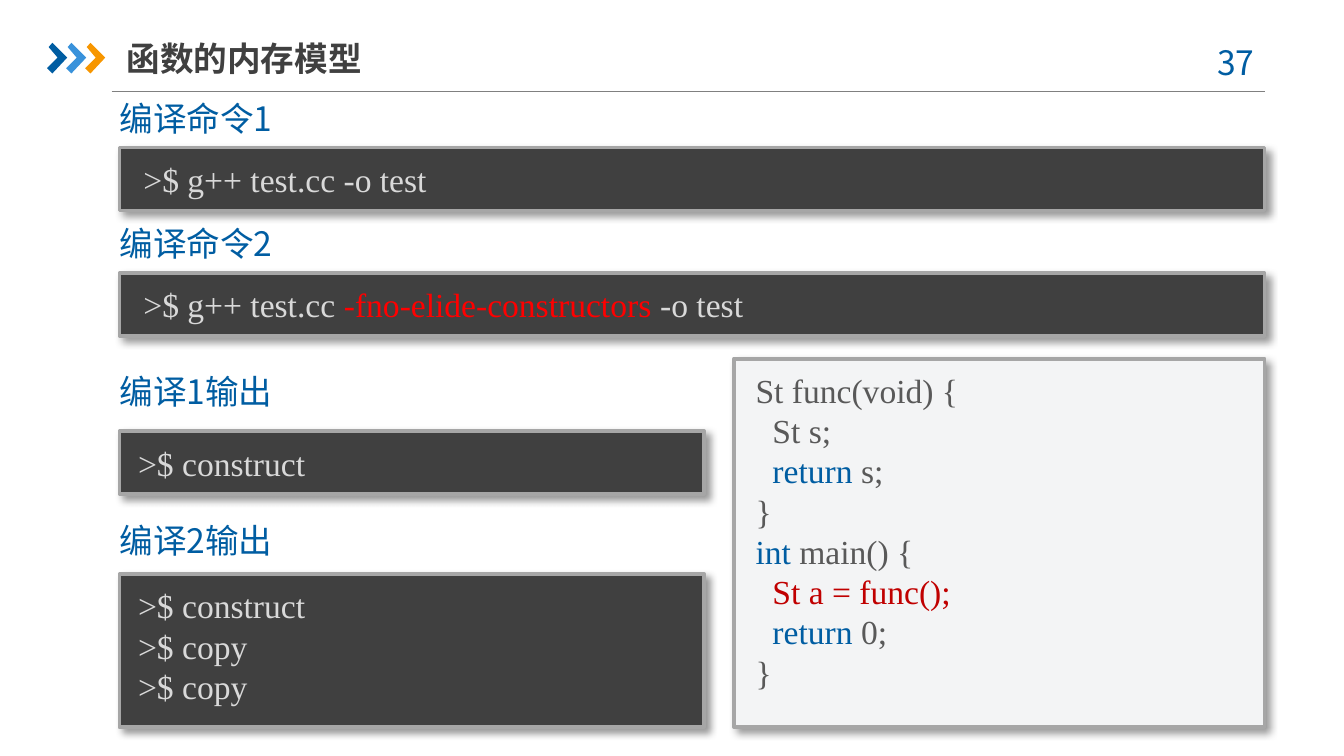
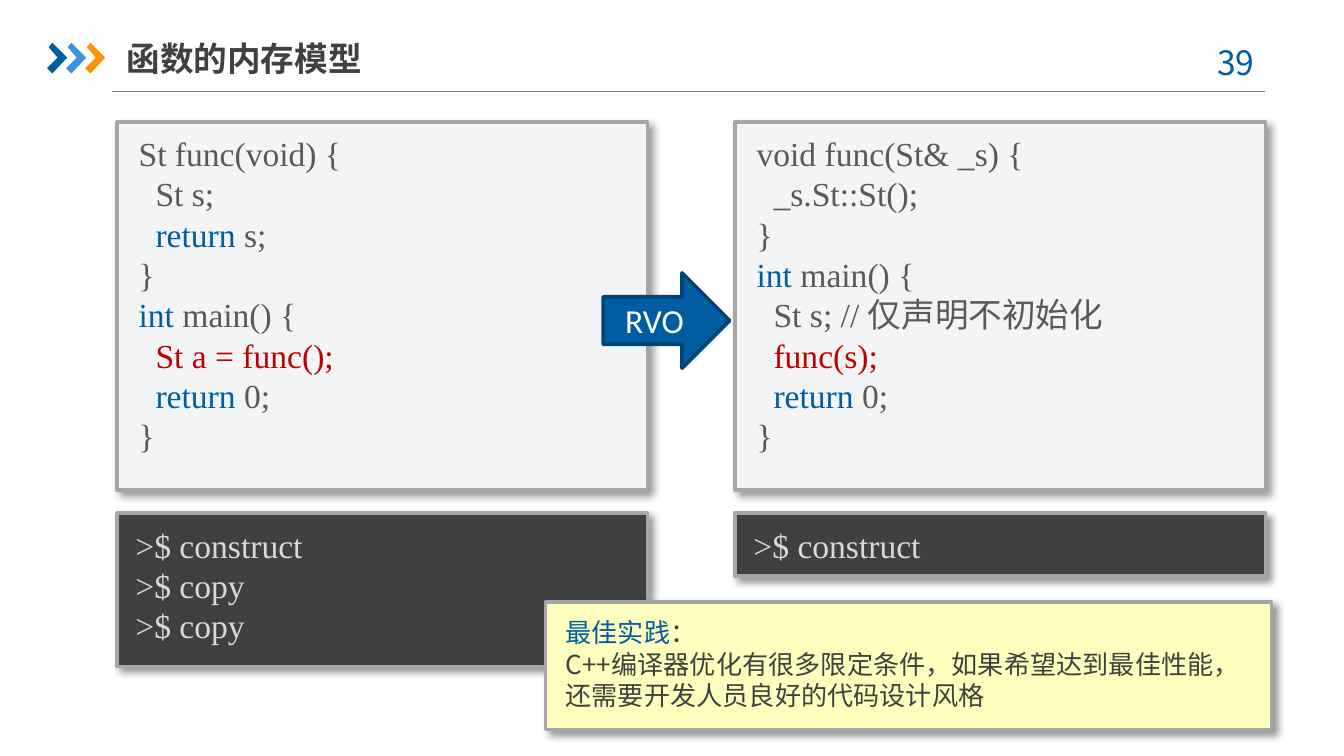
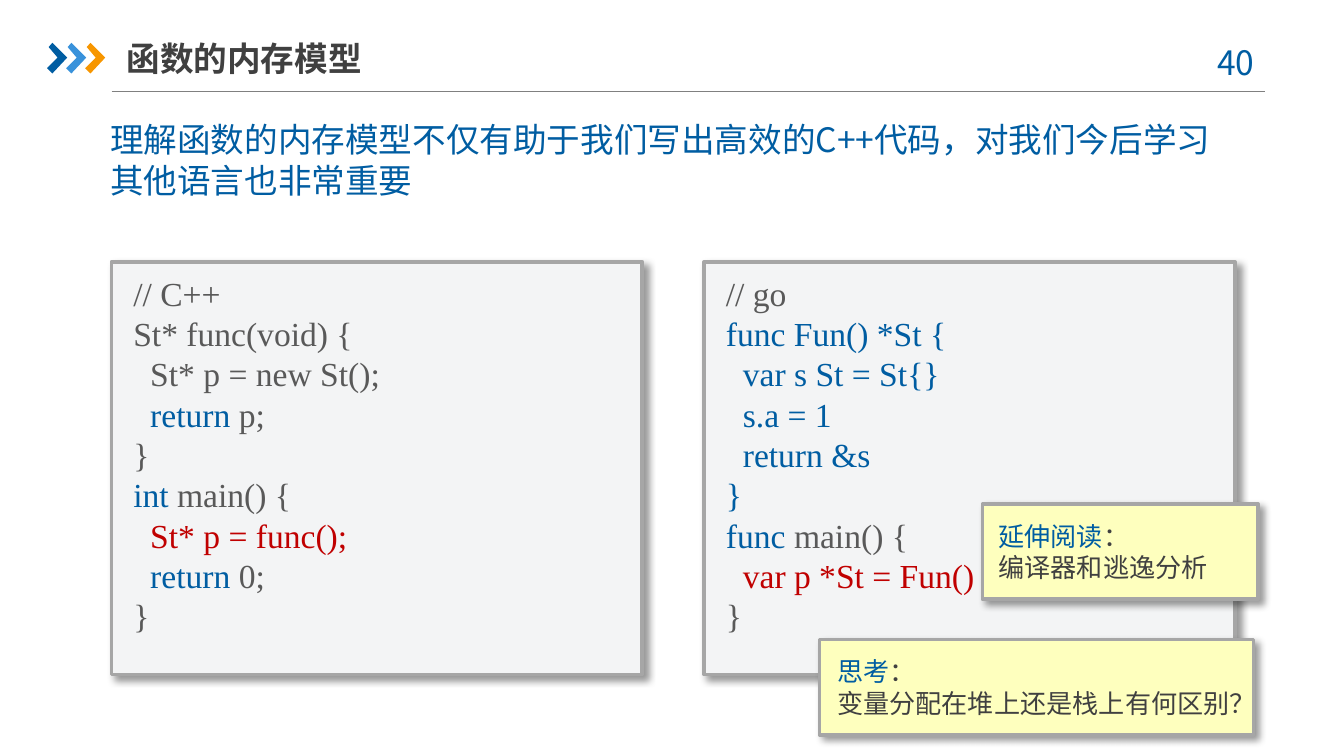
import pptx
import pptx.dml.color
import pptx.enum.shapes
import pptx.enum.text
import pptx.oxml
import pptx.oxml.ns
import pptx.util
from pptx.util import Cm

COLORS = {
    "blue": "005DA2", "light_blue": "3992DB", "orange": "F79600", "navy": "004578",
    "dark": "404040", "code": "595959", "rule": "808080", "border": "A6A6A6",
    "output": "D9D9D9", "white": "FFFFFF", "red": "FF0000", "crimson": "C00000",
    "paper": "F3F4F5", "yellow": "FEFFBE",
}
SANS, SERIF = "Noto Sans CJK SC", "Times New Roman"
TITLE = "函数的内存模型"
INDENT = Cm(0.32)
CHEVRON = [(0.03, 0.08), (0.1, 0), (0.38, 0.28), (0.1, 0.58), (0, 0.48), (0.2, 0.28)]
PANELS = {
    "code": {"fill": "paper", "line": None, "color": "code", "font": SERIF, "size": 18},
    "terminal": {"fill": "dark", "line": "dark", "color": "output", "font": SERIF, "size": 18},
    "note": {"fill": "yellow", "line": None, "color": "dark", "font": SANS, "size": 14},
}
SHAPE = pptx.enum.shapes.MSO_SHAPE
ALIGN = pptx.enum.text.PP_ALIGN
ANCHOR = pptx.enum.text.MSO_ANCHOR
AUTO_SIZE = pptx.enum.text.MSO_AUTO_SIZE


def cpp_main(call, *declarations):
    return [[("int", "blue"), " main() {"], *declarations, [(f"  {call}", "crimson")],
            [("  return", "blue"), " 0;"], "}"]


ST_FUNC = ["St func(void) {", "  St s;", [("  return", "blue"), " s;"], "}",
           *cpp_main("St a = func();")]
REF_FUNC = ["void func(St& _s) {", "  _s.St::St();", "}",
            *cpp_main("func(s);", "  St s;\t// 仅声明不初始化")]
POINTER_FUNC = ["// C++", "St* func(void) {", "  St* p = new St();",
                [("  return", "blue"), " p;"], "}", *cpp_main("St* p = func();")]
GO_FUNC = ["// go",
           *([(row, "blue")] for row in ("func Fun() *St {", "  var s St = St{}",
                                         "  s.a = 1", "  return &s", "}")),
           [("func ", "blue"), "main() {"], [("  var p *St = Fun()", "crimson")], "}"]
CONSTRUCT = [">$ construct"]
COPIES = [">$ construct", ">$ copy", ">$ copy"]


def rgb(name):
    return pptx.dml.color.RGBColor.from_string(COLORS[name])


def paint(sp, fill, line=None, width=0.75):
    sp.fill.solid()
    sp.fill.fore_color.rgb = rgb(fill)
    if line:
        sp.line.color.rgb = rgb(line)
        sp.line.width = pptx.util.Pt(width)
    else:
        sp.line.fill.background()


def write(sp, rows, color, font=SANS, size=18, bold=False, align=ALIGN.LEFT, **frame):
    """Fill sp with rows: a string, or a list of strings and (text, colour) pairs.

    Leading blanks of a row become a paragraph indent.
    """
    tf = sp.text_frame
    for name, value in {"word_wrap": True, **frame}.items():
        setattr(tf, name, value)
    for i, row in enumerate(rows):
        p = tf.add_paragraph() if i else tf.paragraphs[0]
        p.alignment = align
        runs = [row] if isinstance(row, str) else row
        for j, run in enumerate(runs):
            text, tone = (run, color) if isinstance(run, str) else run
            if j == 0 and text.startswith("  "):
                text = text[2:]
                p._p.get_or_add_pPr().set("marL", str(INDENT))
            r = p.add_run()
            r.text = text
            for name, value in {"name": font, "size": pptx.util.Pt(size), "bold": bold}.items():
                setattr(r.font, name, value)
            r.font.color.rgb = rgb(tone)
            ea = pptx.oxml.ns.qn("a:ea")
            r._r.get_or_add_rPr().makeelement(ea)
            r.font._element.find(pptx.oxml.ns.qn("a:latin")).addnext(
                r._r.makeelement(ea, {"typeface": SANS}))


def add_shadow(sp):
    sp.shadow.inherit = False
    effects = sp._element.spPr.find(pptx.oxml.ns.qn("a:effectLst"))
    effects.append(pptx.oxml.parse_xml(
        f'<a:outerShdw {pptx.oxml.ns.nsdecls("a")} blurRad="50800" dist="38100" '
        'dir="2700000" algn="tl" rotWithShape="0"><a:srgbClr val="000000">'
        '<a:alpha val="40000"/></a:srgbClr></a:outerShdw>'))


def add_text(s, x, y, w, h, text, **style):
    sp = s.shapes.add_textbox(Cm(x), Cm(y), Cm(w), Cm(h))
    write(sp, [text], "blue", **style)


def add_panel(s, kind, x, y, w, h, rows, pad=(0.1, 0.09)):
    """Shadowed frame with a text area set in by pad (horizontal, vertical)."""
    look = PANELS[kind]
    dx, dy = pad
    shapes = s.shapes.add_group_shape().shapes
    frame = shapes.add_shape(SHAPE.RECTANGLE, Cm(x), Cm(y), Cm(w), Cm(h))
    paint(frame, look["fill"], "border", 2)
    add_shadow(frame)
    area = shapes.add_textbox(Cm(x + dx), Cm(y + dy), Cm(w - 2 * dx), Cm(h - 2 * dy))
    paint(area, look["fill"], look["line"])
    write(area, rows, look["color"], look["font"], look["size"])


def add_code(s, x, y, h, rows):
    add_panel(s, "code", x, y, 10.03, h, rows, (0.16, 0.08))


def add_chevrons(s, x, y):
    shapes = s.shapes.add_group_shape().shapes
    for i, color in enumerate(("blue", "light_blue", "orange")):
        points = [(Cm(x + 0.36 * i + px), Cm(y + py)) for px, py in CHEVRON]
        builder = shapes.build_freeform(*points[0])
        builder.add_line_segments(points[1:], close=True)
        sp = builder.convert_to_shape()
        sp.shadow.inherit = False
        paint(sp, color)


def add_base_slide(prs, number):
    s = prs.slides.add_slide(prs.slide_layouts.get_by_name("Title Only"))
    title = s.shapes.title
    box = {"left": 2.39, "top": 0.56, "width": 5.92, "height": 1.07}
    for name, value in box.items():
        setattr(title, name, Cm(value))
    write(title, [TITLE], "dark", bold=True, margin_left=0, margin_right=0,
          vertical_anchor=ANCHOR.MIDDLE, auto_size=AUTO_SIZE.NONE)
    rule = s.shapes.add_connector(pptx.enum.shapes.MSO_CONNECTOR.STRAIGHT,
                                  Cm(2.11), Cm(1.73), Cm(23.9), Cm(1.73))
    rule.line.color.rgb = rgb("rule")
    rule.line.width = pptx.util.Pt(0.75)
    rule._element.spPr.append(
        pptx.oxml.parse_xml(f'<a:effectLst {pptx.oxml.ns.nsdecls("a")}/>'))
    add_chevrons(s, 0.89, 0.81)
    add_text(s, 22.5, 0.66, 1.85, 1.02, f"{number} ", align=ALIGN.CENTER)
    return s


def add_compile_slide(prs):
    s = add_base_slide(prs, 37)
    add_code(s, 13.87, 6.78, 6.96, ST_FUNC)
    x, wide, narrow = 2.26, (0.2, 0.09), (0.1, 0.09)
    option = [">$ g++ test.cc ", ("-fno-elide-constructors ", "red"), "-o test"]
    sections = [
        ("编译命令1", 1.73, 2.79, 21.64, 1.19, [">$ g++ test.cc -o test"], wide),
        ("编译命令2", 4.09, 5.16, 21.64, 1.19, [option], wide),
        ("编译1输出", 6.88, 8.15, 11.05, 1.19, CONSTRUCT, narrow),
        ("编译2输出", 9.7, 10.85, 11.05, 2.9, COPIES, narrow),
    ]
    for heading, heading_y, y, w, h, rows, pad in sections:
        add_text(s, x - 0.25, heading_y, 11, 1.02, heading)
        add_panel(s, "terminal", x, y, w, h, rows, pad)


def add_rvo_slide(prs):
    s = add_base_slide(prs, 39)
    for x, code, output, h in ((13.89, REF_FUNC, CONSTRUCT, 1.19),
                               (2.21, ST_FUNC, COPIES, 2.9)):
        add_code(s, x, 2.31, 6.96, code)
        add_panel(s, "terminal", x, 9.7, 10.03, h, output)
    arrow = s.shapes.add_shape(SHAPE.RIGHT_ARROW, Cm(11.4), Cm(5.16), Cm(2.39), Cm(1.8))
    arrow.shadow.inherit = False
    paint(arrow, "blue", "navy", 2)
    write(arrow, ["RVO"], "white", "Calibri", align=ALIGN.CENTER,
          vertical_anchor=ANCHOR.MIDDLE)
    add_panel(s, "note", 10.31, 11.38, 13.72, 2.41, [
        [("最佳实践", "blue"), "："],
        "C++编译器优化有很多限定条件，如果希望达到最佳性能，还需要开发人员良好的代码设计风格",
    ], (0.13, 0.15))


def add_languages_slide(prs):
    s = add_base_slide(prs, 40)
    add_text(s, 1.83, 2.13, 21.74, 1.8,
             "理解函数的内存模型不仅有助于我们写出高效的C++代码，对我们今后学习其他语言也非常重要")
    for x, code in ((2.11, POINTER_FUNC), (13.31, GO_FUNC)):
        add_code(s, x, 4.95, 7.8, code)
    for x, y, w, dx, heading, body in (
            (15.49, 12.09, 8.2, 0.08, "思考", "变量分配在堆上还是栈上有何区别？"),
            (18.57, 9.53, 5.21, 0.05, "延伸阅读", "编译器和逃逸分析")):
        add_panel(s, "note", x, y, w, 1.8, [[(heading, "blue"), "："], body], (dx, 0.18))


def main():
    prs = pptx.Presentation()
    prs.slide_width, prs.slide_height = Cm(25.4), Cm(14.29)
    add_compile_slide(prs)
    add_rvo_slide(prs)
    add_languages_slide(prs)
    prs.save("out.pptx")


if __name__ == "__main__":
    main()
